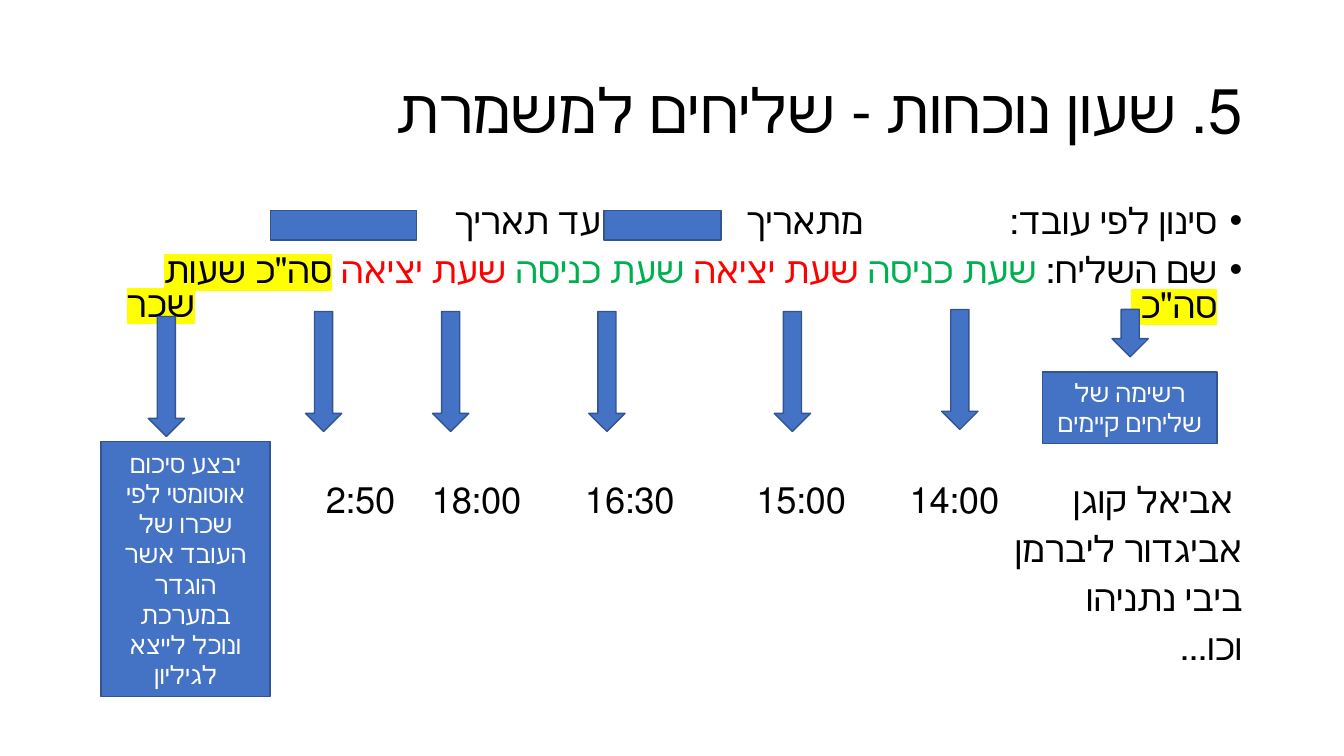
from dataclasses import dataclass

from lxml import etree
from pptx import Presentation
from pptx.dml.color import RGBColor
from pptx.enum.lang import MSO_LANGUAGE_ID
from pptx.enum.shapes import MSO_SHAPE
from pptx.enum.text import MSO_ANCHOR, PP_ALIGN
from pptx.oxml.ns import qn
from pptx.util import Inches, Pt

RECT, ARROW = MSO_SHAPE.RECTANGLE, MSO_SHAPE.DOWN_ARROW
TOP, MIDDLE = MSO_ANCHOR.TOP, MSO_ANCHOR.MIDDLE
RIGHT, CENTER = PP_ALIGN.RIGHT, PP_ALIGN.CENTER
HEBREW = MSO_LANGUAGE_ID.HEBREW


@dataclass(frozen=True)
class Theme:
    font: str = "Calibri"
    black: str = "000000"
    white: str = "FFFFFF"
    entry: str = "00B050"
    leave: str = "FF0000"
    marker: str = "FFFF00"
    fill: str = "4472C4"
    line: str = "325491"
    title: float = 44
    body: float = 25.9
    note: float = 18


T = Theme()


@dataclass(frozen=True)
class Span:
    text: str
    color: str = T.black
    highlight: str = ""


@dataclass(frozen=True)
class Row:
    spans: tuple[Span, ...]
    bullet: bool = False
    before: float = 10
    tabs: tuple[float, ...] = ()


@dataclass(frozen=True)
class Label:
    right: float
    top: float
    width: float
    span: Span


@dataclass(frozen=True)
class Block:
    left: float
    top: float
    width: float
    height: float
    kind: MSO_SHAPE = RECT
    text: str = ""
    inset: float = 0.1


ENTRY = Span("שעת כניסה ", T.entry)
LEAVE = Span("שעת יציאה ", T.leave)
TIMES = ("14:00", "15:00", "16:30", "18:00", "2:50")

ROWS = (
    Row((Span("סינון לפי עובד:"),), bullet=True),
    Row((Span("שם השליח: "), ENTRY, LEAVE, ENTRY, LEAVE,
         Span('סה"כ שעות ', highlight=T.marker),
         Span('סה"כ ', highlight=T.marker)), bullet=True),
    Row((Span("\t".join((" אביאל קוגן",) + TIMES)),), before=115,
        tabs=(2.41, 3.93, 5.63, 7.15, 8.4)),
    Row((Span("אביגדור ליברמן"),)),
    Row((Span("ביבי נתניהו"),)),
    Row((Span("וכו..."),)),
)

LABELS = (
    Label(8.66, 2, 1.5, Span("מתאריך")),
    Label(6.06, 2, 1.8, Span("עד תאריך")),
    Label(2.03, 2.82, 1, Span("שכר", highlight=T.marker)),
)

ARROWS = ((11.03, 3.07, 0.47), (9.34, 3.07, 1.19), (4.29, 3.09, 1.19),
          (5.84, 3.09, 1.19), (7.68, 3.09, 1.19), (3.03, 3.09, 1.19),
          (1.47, 3.14, 1.19))

BLOCKS = (
    Block(10.34, 3.69, 1.73, 0.71, text="רשימה של שליחים קיימים"),
    *(Block(x, y, 0.36, h, ARROW) for x, y, h in ARROWS),
    Block(1, 4.38, 1.68, 2.53, inset=0.16,
          text="יבצע סיכום אוטומטי לפי שכרו של העובד אשר הוגדר "
               "במערכת ונוכל לייצא לגיליון"),
    Block(5.99, 2.09, 1.16, 0.29),
    Block(2.68, 2.09, 1.45, 0.29),
)


def add_spans(p, spans: tuple[Span, ...], size: float, align: PP_ALIGN) -> None:
    """Fill a right-to-left paragraph with formatted runs."""
    p.alignment = align
    p._p.get_or_add_pPr().set("rtl", "1")
    for span in spans:
        r = p.add_run()
        r.text = span.text
        r.font.size = Pt(size)
        r.font.color.rgb = RGBColor.from_string(span.color)
        r.font.language_id = HEBREW
        if span.highlight:
            mark = etree.SubElement(r._r.get_or_add_rPr(), qn("a:highlight"))
            etree.SubElement(mark, qn("a:srgbClr"), val=span.highlight)
        r.font.name = T.font


def add_row(p, row: Row) -> None:
    """Fill a body paragraph with its bullet, tab stops and spacing."""
    add_spans(p, row.spans, T.body, RIGHT)
    p.line_spacing = 0.8
    p.space_before = Pt(row.before)
    props = p._p.get_or_add_pPr()
    if row.bullet:
        props.set("marL", str(Inches(0.25)))
        props.set("indent", str(Inches(-0.25)))
        etree.SubElement(props, qn("a:buFont"), typeface="Arial")
        etree.SubElement(props, qn("a:buChar"), char="•")
    if row.tabs:
        stops = etree.SubElement(props, qn("a:tabLst"))
        for pos in row.tabs:
            etree.SubElement(stops, qn("a:tab"), pos=str(Inches(pos)), algn="r")


def add_box(s, left: float, top: float, width: float, height: float,
            anchor: MSO_ANCHOR = TOP):
    """Add a wrapping text box and return its text frame."""
    box = s.shapes.add_textbox(Inches(left), Inches(top), Inches(width), Inches(height))
    tf = box.text_frame
    tf.word_wrap = True
    tf.vertical_anchor = anchor
    return tf


def add_block(s, block: Block) -> None:
    """Add a blue rectangle or arrow with an optional note."""
    sp = s.shapes.add_shape(block.kind, Inches(block.left), Inches(block.top),
                            Inches(block.width), Inches(block.height))
    sp.shadow.inherit = False
    sp.fill.solid()
    sp.fill.fore_color.rgb = RGBColor.from_string(T.fill)
    sp.line.color.rgb = RGBColor.from_string(T.line)
    sp.line.width = Pt(1)
    if block.text:
        tf = sp.text_frame
        tf.word_wrap = True
        tf.vertical_anchor = MIDDLE
        tf.margin_left = tf.margin_right = Inches(block.inset)
        add_spans(tf.paragraphs[0], (Span(block.text, T.white),), T.note, CENTER)


def main() -> None:
    """Build the courier attendance slide."""
    prs = Presentation()
    prs.slide_width, prs.slide_height = Inches(13.33), Inches(7.5)
    s = prs.slides.add_slide(prs.slide_layouts[6])

    p = add_box(s, 0.92, 0.4, 11.5, 1.45, MIDDLE).paragraphs[0]
    add_spans(p, (Span("5. שעון נוכחות - שליחים למשמרת"),), T.title, RIGHT)
    p.line_spacing = 0.9

    tf = add_box(s, 0.92, 2, 11.5, 4.76)
    for i, row in enumerate(ROWS):
        add_row(tf.add_paragraph() if i else tf.paragraphs[0], row)
    for label in LABELS:
        tf = add_box(s, label.right - label.width, label.top, label.width, 0.45)
        add_row(tf.paragraphs[0], Row((label.span,)))
    for block in BLOCKS:
        add_block(s, block)
    prs.save("out.pptx")


if __name__ == "__main__":
    main()
